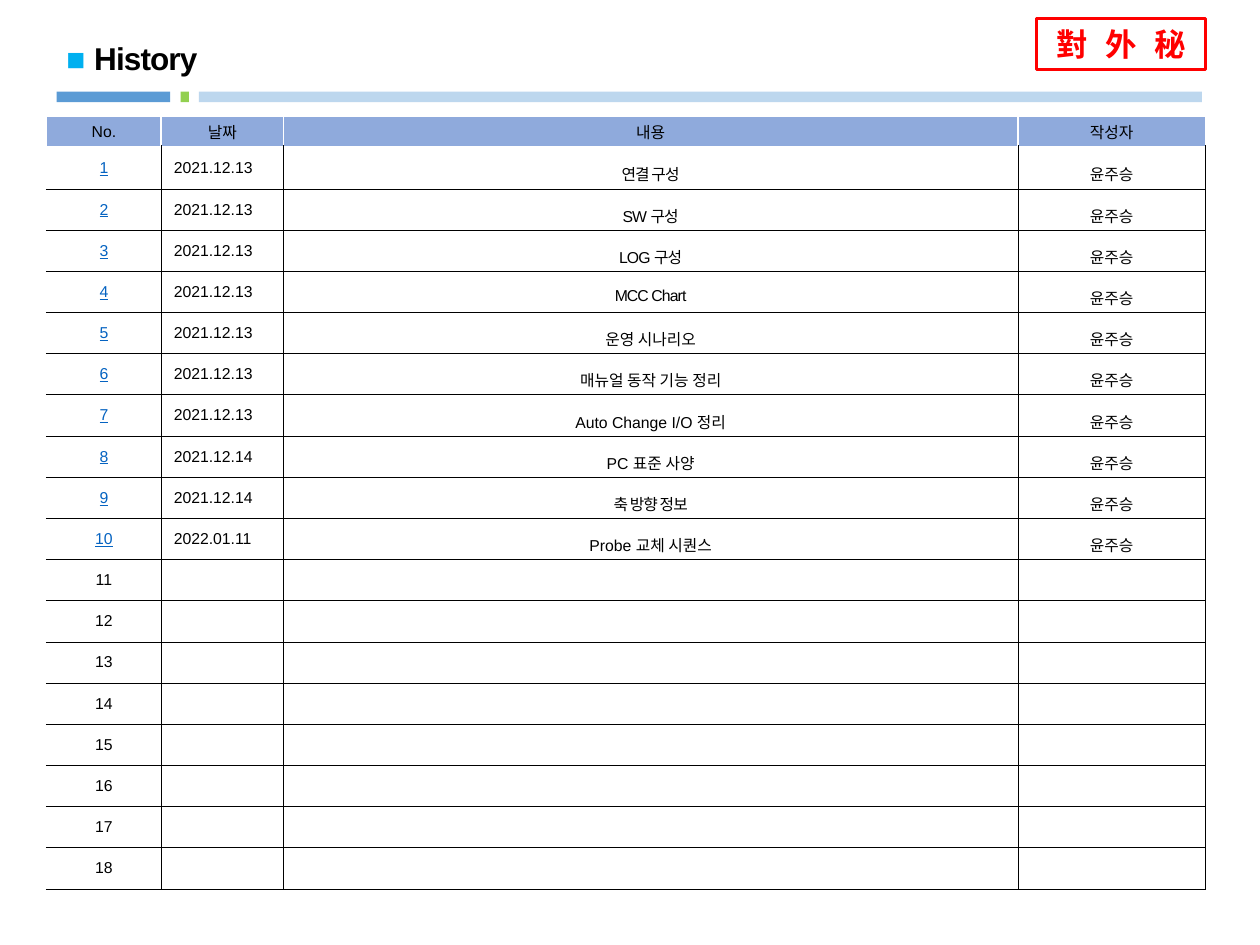
from lxml import etree
from pptx import Presentation
from pptx.dml.color import RGBColor
from pptx.enum import shapes, text
from pptx.oxml import ns
from pptx.util import Cm, Pt

BLACK = RGBColor(0x00, 0x00, 0x00)
WHITE = RGBColor(0xFF, 0xFF, 0xFF)
RED = RGBColor(0xFF, 0x00, 0x00)
CYAN = RGBColor(0x00, 0xB0, 0xF0)
BLUE = RGBColor(0x5B, 0x9B, 0xD5)
PALE = RGBColor(0xBD, 0xD7, 0xEE)
GREEN = RGBColor(0x92, 0xD0, 0x50)
HEAD = RGBColor(0x8F, 0xAA, 0xDC)
LINK = RGBColor(0x05, 0x63, 0xC1)

LATIN = "Arial"
ASIAN = "Noto Sans CJK KR"
LEFT = text.PP_ALIGN.LEFT
MID = text.PP_ALIGN.CENTER

WIDTHS = (2.31, 2.46, 14.81, 3.78)
TITLES = ("No.", "날짜", "내용", "작성자")
AUTHOR = "윤주승"
LAST = 18
# date, topic, letter spacing in points
ENTRIES = (
    ("2021.12.13", "연결 구성", -0.5),
    ("2021.12.13", "SW 구성", -0.5),
    ("2021.12.13", "LOG 구성", -0.5),
    ("2021.12.13", "MCC Chart", -0.5),
    ("2021.12.13", "운영 시나리오", 0),
    ("2021.12.13", "매뉴얼 동작 기능 정리", 0),
    ("2021.12.13", "Auto Change I/O 정리", 0),
    ("2021.12.14", "PC 표준 사양", 0),
    ("2021.12.14", "축 방향 정보", -0.5),
    ("2022.01.11", "Probe 교체 시퀀스", 0),
)


class Page:
    def __init__(self, slide):
        self.slide = slide

    def run(self, para, words, size=9, color=BLACK, bold=False,
            under=False, gap=0, face=LATIN):
        """Add one run; gap is the letter spacing in points."""
        run = para.add_run()
        run.text = words
        font = run.font
        font.size, font.bold, font.name = Pt(size), bold, face
        font.underline = under
        font.color.rgb = color
        props = run._r.get_or_add_rPr()
        if gap:
            props.set("spc", str(int(gap * 100)))
        asian = etree.Element(ns.qn("a:ea"), typeface=ASIAN)
        props.find(ns.qn("a:latin")).addnext(asian)

    def box(self, x, y, w, h, fill=None, line=None):
        rect = self.slide.shapes.add_shape(
            shapes.MSO_SHAPE.RECTANGLE, Cm(x), Cm(y), Cm(w), Cm(h))
        rect.shadow.inherit = False
        if fill is None:
            rect.fill.background()
        else:
            rect.fill.solid()
            rect.fill.fore_color.rgb = fill
        if line is None:
            rect.line.fill.background()
        else:
            rect.line.color.rgb = line
            rect.line.width = Pt(1.5)
        return rect

    def stamp(self, x, y, w, h, words):
        frame = self.box(x, y, w, h, line=RED).text_frame
        frame.word_wrap = False
        frame.vertical_anchor = text.MSO_ANCHOR.MIDDLE
        para = frame.paragraphs[0]
        para.alignment = MID
        self.run(para, words, 18, RED, True, gap=3, face=ASIAN)

    def title(self, x, y, w, h, words):
        frame = self.slide.shapes.add_textbox(
            Cm(x), Cm(y), Cm(w), Cm(h)).text_frame
        frame.word_wrap = True
        para = frame.paragraphs[0]
        para.line_spacing = 1.1
        self.run(para, "■ ", 18, CYAN, True)
        self.run(para, words, 18, BLACK, True, gap=-0.5)

    def edge(self, cell, side, color, width):
        """Draw one cell border; side is L, R, T or B."""
        line = etree.SubElement(cell._tc.get_or_add_tcPr(),
                                ns.qn("a:ln" + side), w=str(Pt(width)))
        fill = etree.SubElement(line, ns.qn("a:solidFill"))
        etree.SubElement(fill, ns.qn("a:srgbClr"), val=str(color))

    def cell(self, cell, words="", align=MID, space=1, edges=(),
             fill=None, **style):
        cell.vertical_anchor = text.MSO_ANCHOR.MIDDLE
        cell.margin_top = cell.margin_bottom = Cm(0.05)
        for side in "LRTB":
            self.edge(cell, side, *dict(edges).get(side, (BLACK, 0.5)))
        if fill is None:
            cell.fill.background()
        else:
            cell.fill.solid()
            cell.fill.fore_color.rgb = fill
        para = cell.text_frame.paragraphs[0]
        para.alignment, para.line_spacing = align, space
        if words:
            self.run(para, words, **style)
        else:
            para.font.size = Pt(9)

    def table(self, x, y, top, step):
        """Build the log; top and step are header and row heights."""
        frame = self.slide.shapes.add_table(
            LAST + 1, len(WIDTHS), Cm(x), Cm(y),
            Cm(sum(WIDTHS)), Cm(top + LAST * step))
        grid = frame.table
        grid.first_row = grid.horz_banding = False
        for col, width in zip(grid.columns, WIDTHS):
            col.width = Cm(width)
        for num, row in enumerate(grid.rows):
            row.height = Cm(step if num else top)

        thin = (WHITE, 1)
        rim = {"L": thin, "R": thin, "T": thin, "B": (WHITE, 3)}
        for col, words in enumerate(TITLES):
            self.cell(grid.cell(0, col), words, edges=rim, fill=HEAD)

        for num in range(1, LAST + 1):
            live = num <= len(ENTRIES)
            date, topic, gap = ENTRIES[num - 1] if live else ("", "", 0)
            roof = {"T": thin} if num == 1 else {}
            self.cell(grid.cell(num, 0), str(num), edges={"L": thin, **roof},
                      color=LINK if live else BLACK, under=live)
            self.cell(grid.cell(num, 1), date, LEFT, edges=roof)
            self.cell(grid.cell(num, 2), topic, space=1.5, edges=roof,
                      gap=gap)
            self.cell(grid.cell(num, 3), AUTHOR if live else "", space=1.5,
                      edges=roof)


def main():
    deck = Presentation()
    deck.slide_width, deck.slide_height = Cm(25.4), Cm(19.05)
    page = Page(deck.slides.add_slide(deck.slide_layouts[6]))
    for x, w, fill in ((4.01, 20.22, PALE), (1.14, 2.29, BLUE),
                       (3.64, 0.17, GREEN)):
        page.box(x, 1.85, w, 0.21, fill)
    page.stamp(20.9, 0.38, 3.4, 1.02, "對 外 秘")
    page.table(0.94, 2.34, 0.64, 0.83)
    page.title(1.09, 0.58, 17.2, 1.04, "History")
    deck.save("out.pptx")


if __name__ == "__main__":
    main()
